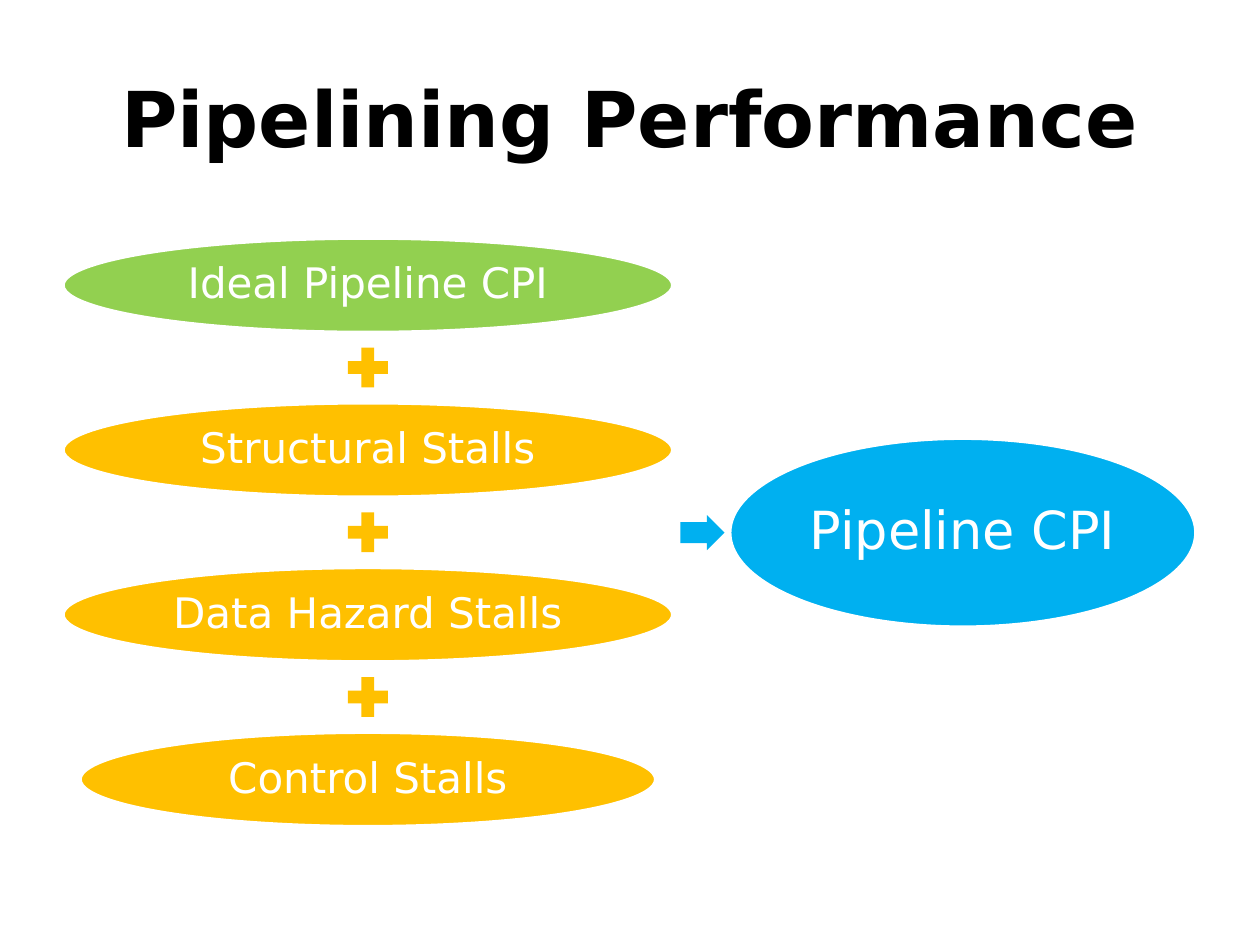
from dataclasses import dataclass
from pptx import Presentation
from pptx.dml.color import RGBColor as Rgb
from pptx.enum.shapes import MSO_SHAPE as Kind
from pptx.enum.text import MSO_ANCHOR as Anchor, PP_ALIGN as Align
from pptx.util import Pt


@dataclass(frozen=True)
class Theme:
    font: str = "DejaVu Sans"
    black: Rgb = Rgb(0, 0, 0)
    white: Rgb = Rgb(255, 255, 255)
    ideal: Rgb = Rgb(0x92, 0xD0, 0x50)
    stall: Rgb = Rgb(0xFF, 0xC0, 0x00)
    total: Rgb = Rgb(0x00, 0xB0, 0xF0)
    title: int = 44
    term: int = 24
    result: int = 30


THEME = Theme()
TERMS = [  # label, fill, width
    ("Ideal Pipeline CPI", THEME.ideal, 348.5),
    ("Structural Stalls", THEME.stall, 348.5),
    ("Data Hazard Stalls", THEME.stall, 348.5),
    ("Control Stalls", THEME.stall, 329),
]


def write(frame, text, size, color, bold=False):
    frame.word_wrap = True
    frame.vertical_anchor = Anchor.MIDDLE
    para = frame.paragraphs[0]
    para.text = text
    para.alignment = Align.CENTER
    font = para.font
    font.name, font.size, font.bold = THEME.font, Pt(size), bold
    font.color.rgb = color


def add_shape(slide, kind, box, fill):
    shape = slide.shapes.add_shape(kind, *map(Pt, box))
    shape.shadow.inherit = False
    shape.fill.solid()
    shape.fill.fore_color.rgb = fill
    shape.line.fill.background()
    return shape


def add_oval(slide, box, fill, text, size, inset):
    oval = add_shape(slide, Kind.OVAL, box, fill)
    oval.line.color.rgb = THEME.white
    oval.line.width = Pt(2)
    frame = oval.text_frame
    frame.margin_left = frame.margin_right = Pt(inset)
    frame.margin_top = frame.margin_bottom = Pt(inset)
    write(frame, text, size, THEME.white)
    frame.paragraphs[0].line_spacing = 0.9


def add_title(slide, box):
    title = slide.shapes.title
    title.left, title.top, title.width, title.height = map(Pt, box)
    write(title.text_frame, "Pipelining Performance", THEME.title,
          THEME.black, bold=True)


def add_sum(slide, box):
    """Stack the terms down the box, with a plus in each gap."""
    left, top, width, height = box
    tall, plus = 54, 31
    step = (height - tall) / (len(TERMS) - 1)
    mid = left + width / 2
    for i, (text, fill, wide) in enumerate(TERMS):
        y = top + i * step
        if i:
            gap = y - (step - tall) / 2
            add_shape(slide, Kind.MATH_PLUS,
                      (mid - plus / 2, gap - plus / 2, plus, plus),
                      THEME.stall)
        add_oval(slide, (mid - wide / 2, y, wide, tall), fill, text,
                 THEME.term, 2.4)


def add_result(slide, box):
    """Place an arrow and the total, both centred in the box's height."""
    left, top, width, height = box
    wide, tall, gap = 25.2, 20, 3
    arrow = add_shape(slide, Kind.RIGHT_ARROW,
                      (left, top + (height - tall) / 2, wide, tall),
                      THEME.total)
    arrow.adjustments[0] = 0.6
    arrow.adjustments[1] = 0.5
    shift = wide + gap
    add_oval(slide, (left + shift, top, width - shift, height),
             THEME.total, "Pipeline CPI", THEME.result, 3)


def main():
    deck = Presentation()
    deck.slide_width, deck.slide_height = Pt(720), Pt(540)
    slide = deck.slides.add_slide(deck.slide_layouts[5])
    add_title(slide, (36, 21.6, 648, 90))
    add_sum(slide, (36, 136, 348.5, 336.4))
    add_result(slide, (388.8, 250.4, 294.6, 108))
    deck.save("out.pptx")


if __name__ == "__main__":
    main()
